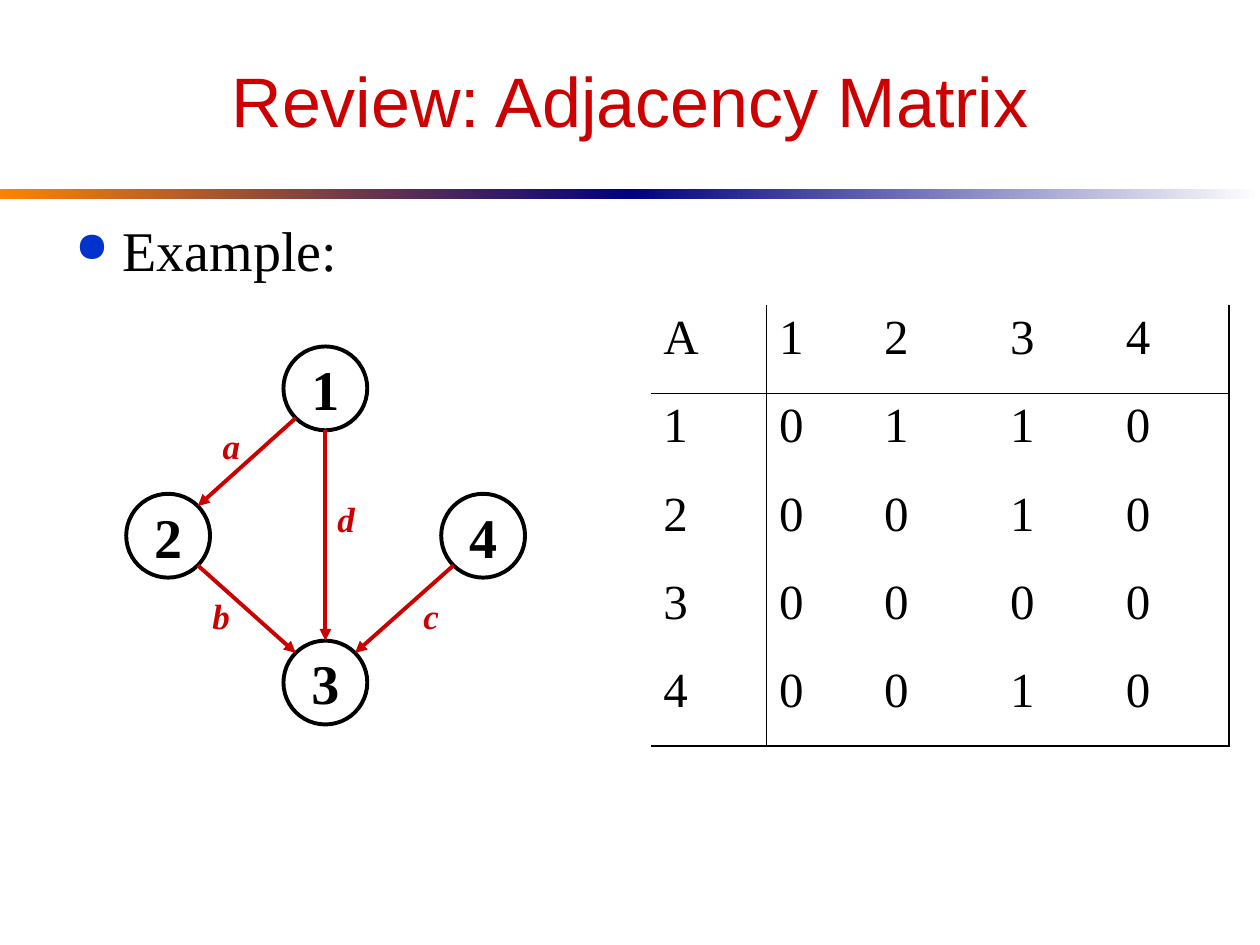
from dataclasses import dataclass
import math

import pptx
import pptx.dml.color
import pptx.enum.shapes
import pptx.enum.text
import pptx.oxml.ns
import pptx.util
from lxml import etree

Cm, Pt = pptx.util.Cm, pptx.util.Pt
MSO = pptx.enum.shapes.MSO_SHAPE
ALIGN = pptx.enum.text.PP_ALIGN
ANCHOR = pptx.enum.text.MSO_ANCHOR
qn = pptx.oxml.ns.qn

RED, BLACK, NAVY, ORANGE, WHITE, BLUE = (
    "CC0000", "000000", "000082", "FF8200", "FFFFFF", "0033CC")
SERIF, SANS = "Times New Roman", "Arial"
DIAMETER = 1.69
THIN, OUTER = 0.45, 1.08


@dataclass
class Node:
    name: str
    x: float  # centre, cm
    y: float


@dataclass
class Edge:
    start: str
    end: str
    label: str
    x: float  # label box, cm
    y: float


def color(value: str):
    return pptx.dml.color.RGBColor.from_string(value)


def write(tf, text: str, *, size: float, font: str = SERIF, fill: str = BLACK,
          bold: bool = False, italic: bool = False, align=ALIGN.LEFT,
          anchor=ANCHOR.TOP, wrap: bool = True, before: float = 0):
    tf.word_wrap = wrap
    tf.vertical_anchor = anchor
    p = tf.paragraphs[0]
    p.alignment = align
    p.space_before = Pt(before)
    r = p.add_run()
    r.text = text
    r.font.name, r.font.size = font, Pt(size)
    r.font.bold, r.font.italic = bold, italic
    r.font.color.rgb = color(fill)
    return p


def add_text(s, text: str, x: float, y: float, w: float, h: float, **style):
    sp = s.shapes.add_textbox(Cm(x), Cm(y), Cm(w), Cm(h))
    return write(sp.text_frame, text, **style)


def add_bullet(p) -> None:
    pPr = p._p.get_or_add_pPr()
    pPr.set("marL", str(Cm(0.95)))
    pPr.set("indent", str(-Cm(0.95)))
    clr = etree.SubElement(pPr, qn("a:buClr"))
    etree.SubElement(clr, qn("a:srgbClr"), val=BLUE)
    etree.SubElement(pPr, qn("a:buSzPct"), val="75000")
    etree.SubElement(pPr, qn("a:buChar"), char="●")


def add_band(s, x: float, left: str, right: str) -> None:
    sp = s.shapes.add_shape(MSO.RECTANGLE, Cm(x), Cm(3.81), Cm(12.7), Cm(0.2))
    sp.shadow.inherit = False
    sp.line.fill.background()
    sp.fill.gradient()
    sp.fill.gradient_angle = 0
    for stop, value in zip(sp.fill.gradient_stops, (left, right)):
        stop.color.rgb = color(value)


def add_node(s, node: Node) -> None:
    r = DIAMETER / 2
    sp = s.shapes.add_shape(MSO.OVAL, Cm(node.x - r), Cm(node.y - r),
                            Cm(DIAMETER), Cm(DIAMETER))
    sp.shadow.inherit = False
    sp.fill.background()
    sp.line.color.rgb = color(BLACK)
    sp.line.width = Pt(2.25)
    write(sp.text_frame, node.name, size=32, bold=True, align=ALIGN.CENTER,
          anchor=ANCHOR.MIDDLE, wrap=False)


def add_edge(s, a: Node, b: Node) -> None:
    # Leave and enter the circles at a multiple of 45 degrees
    angle = math.atan2(b.y - a.y, b.x - a.x)
    angle = round(angle / (math.pi / 4)) * math.pi / 4
    dx, dy = (DIAMETER / 2 * f(angle) for f in (math.cos, math.sin))
    line = s.shapes.add_connector(
        pptx.enum.shapes.MSO_CONNECTOR.STRAIGHT,
        Cm(a.x + dx), Cm(a.y + dy), Cm(b.x - dx), Cm(b.y - dy))
    line.line.color.rgb = color(RED)
    line.line.width = Pt(2.25)
    etree.SubElement(line.line._get_or_add_ln(), qn("a:tailEnd"), type="triangle")
    etree.SubElement(line._element.spPr, qn("a:effectLst"))


def set_border(cell, side: str, width: float) -> None:
    ln = etree.SubElement(cell._tc.get_or_add_tcPr(), qn(f"a:ln{side}"),
                          w=str(Pt(width)))
    if width:
        fill = etree.SubElement(ln, qn("a:solidFill"))
        etree.SubElement(fill, qn("a:srgbClr"), val=BLACK)
    else:
        etree.SubElement(ln, qn("a:noFill"))


def add_matrix(s, rows: list[str], widths: list[float]) -> None:
    last_row, last_col = len(rows) - 1, len(widths) - 1
    tbl = s.shapes.add_table(len(rows), len(widths), Cm(13.12), Cm(6.14),
                             Cm(sum(widths)), Cm(1.78 * len(rows))).table
    tbl.first_row = tbl.horz_banding = False
    for col, width in zip(tbl.columns, widths):
        col.width = Cm(width)
    for i, row in enumerate(rows):
        for j, text in enumerate(row):
            cell = tbl.cell(i, j)
            write(cell.text_frame, text, size=28, before=7)
            borders = {
                "L": THIN if j == 1 else 0,
                "R": {0: THIN, last_col: OUTER}.get(j, 0),
                "T": THIN if i == 1 else 0,
                "B": {0: THIN, last_row: OUTER}.get(i, 0),
            }
            for side, border in borders.items():
                set_border(cell, side, border)
            cell.fill.background()


NODES = {n.name: n for n in (
    Node("1", 6.56, 7.83),
    Node("2", 3.39, 10.8),
    Node("4", 9.74, 10.8),
    Node("3", 6.56, 13.76),
)}
EDGES = [
    Edge("1", "2", "a", 4.24, 8.43),
    Edge("2", "3", "b", 4.03, 11.85),
    Edge("4", "3", "c", 8.27, 11.85),
    Edge("1", "3", "d", 6.55, 9.9),
]
MATRIX = ["A1234", "10110", "20010", "30000", "40010"]


def main() -> None:
    prs = pptx.Presentation()
    prs.slide_width, prs.slide_height = Cm(25.4), Cm(19.05)
    s = prs.slides.add_slide(prs.slide_layouts[6])

    # Two-part gradient rule
    add_band(s, 0, ORANGE, NAVY)
    add_band(s, 12.7, NAVY, WHITE)

    # Title and bullet
    add_text(s, "Review: Adjacency Matrix", 1.27, 0.64, 22.86, 2.75, size=40,
             font=SANS, fill=RED, align=ALIGN.CENTER, anchor=ANCHOR.MIDDLE)
    add_bullet(add_text(s, "Example:", 1.27, 4.23, 22.86, 12.07, size=32, before=8))

    # Directed graph
    for node in NODES.values():
        add_node(s, node)
    for e in EDGES:
        add_edge(s, NODES[e.start], NODES[e.end])
        add_text(s, e.label, e.x, e.y, 0.85, 1.11, size=20, fill=RED, bold=True,
                 italic=True, align=ALIGN.CENTER, wrap=False)

    # Adjacency matrix
    add_matrix(s, MATRIX, [2.33, 2.12, 2.54, 2.33, 2.33])

    prs.save("out.pptx")


if __name__ == "__main__":
    main()
